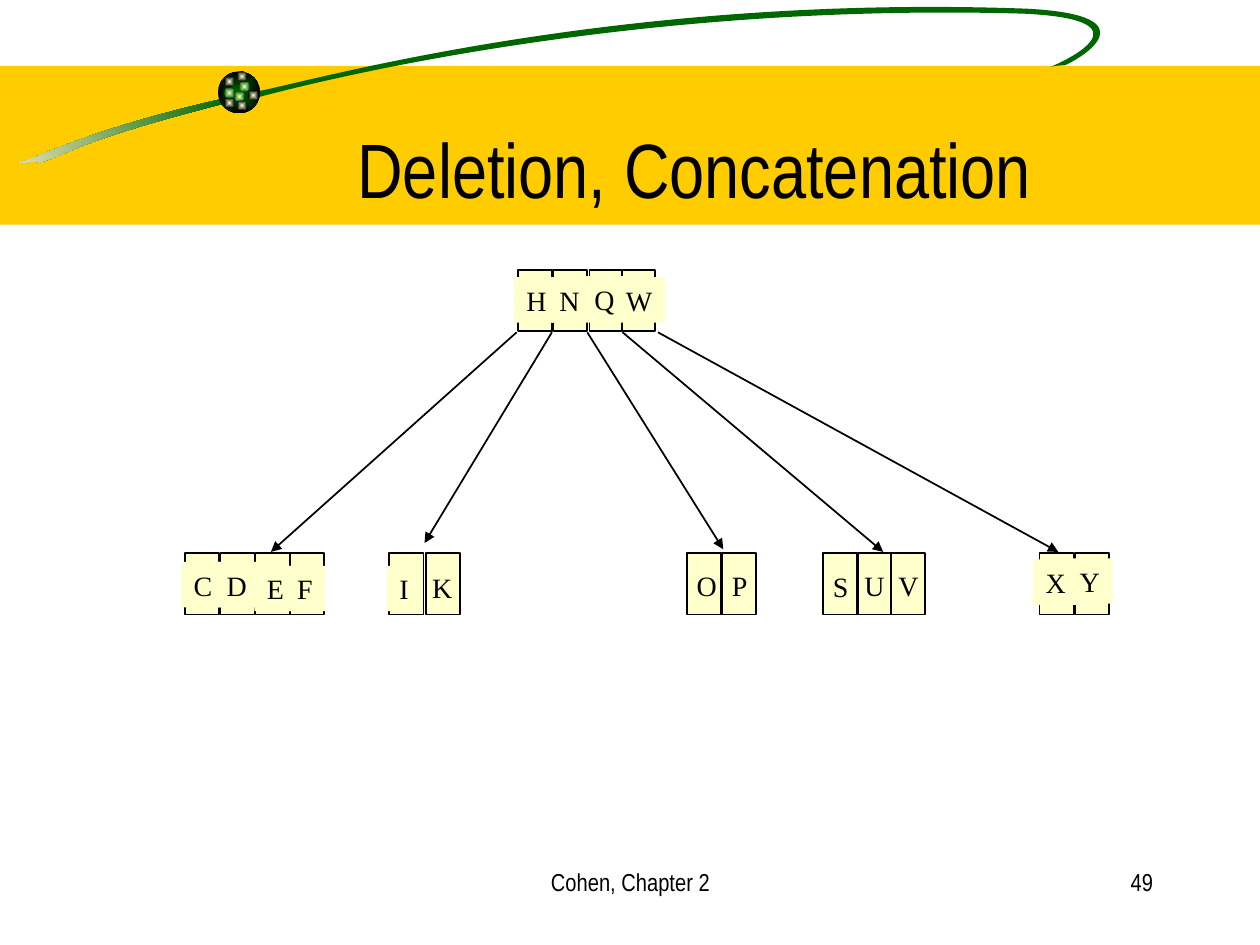
from collections import namedtuple
from dataclasses import dataclass
from math import cos, radians, sin

from lxml.etree import SubElement
from pptx import Presentation
from pptx.dml.color import RGBColor
from pptx.enum.shapes import MSO_CONNECTOR, MSO_SHAPE
from pptx.enum.text import MSO_ANCHOR, MSO_AUTO_SIZE, PP_ALIGN
from pptx.oxml.ns import qn
from pptx.util import Pt

Box = namedtuple("Box", "left top width height")
Key = namedtuple("Key", "letter cell cell_width dx dy width patched", defaults=(True,))


@dataclass(frozen=True)
class Theme:
    """Colours, fonts and sizes of the slide."""

    band: str = "FFCC00"
    green: str = "006600"
    sand: str = "F5EBC1"
    cream: str = "FFFFCC"
    ink: str = "000000"
    sans: str = "Arial Narrow"
    serif: str = "Times New Roman"
    title: int = 44
    key: int = 16
    footer: int = 14


THEME = Theme()
TILT = -8.5
POINTER_PITCH = 20.2

TAIL = [(128.2, 56.2),
        (65.5, 70.6), (35.3, 83.5), (18, 90.7),
        (0.7, 96.5), (18.7, 90.7), (22.3, 92.9),
        (41, 87.8), (41, 81.4), (128.9, 59),
        (128.9, 59), (128.2, 56.2), (128.2, 56.2)]
SWOOSH = [(145.4, 52.6),
          (177.1, 46.8), (349.9, -3.6), (586.1, 5),
          (660.2, 8.6), (617, 33.8), (608.4, 37.4),
          (608.4, 37.4), (603.4, 37.4), (600.5, 38.2),
          (607.7, 35.3), (659.5, 11.5), (585.4, 7.9),
          (394.6, 2.2), (230.4, 33.8), (148.3, 55.4),
          (148.3, 55.4), (145.4, 52.6), (145.4, 52.6)]
SPARKS = [(12.2, 5.8, THEME.green), (3.6, 2.9, THEME.ink),
          (3.6, 9.4, THEME.green), (9.4, 11.5, THEME.green),
          (17.3, 10.8, THEME.ink), (10.8, 16.6, THEME.ink),
          (3.6, 15.1, THEME.ink), (10.8, 0, THEME.ink)]

ROOT = (Box(295.9, 154.1, 78.5, 35),
        [Key("H", 0, 19.5, -2.2, 4.3, 26), Key("N", 20.2, 19.5, 16.6, 4.3, 26),
         Key("Q", 41, 18.7, 36.7, 3.7, 26), Key("W", 59.8, 18.7, 54.7, 4.3, 29.5)])
LEAVES = [
    (Box(105.8, 316.1, 79.3, 35),
     [Key("C", 0, 19.5, -2.2, 5, 25), Key("D", 20.2, 19.5, 16.6, 5, 26),
      Key("E", 40.3, 19.5, 39.6, 7.2, 24), Key("F", 59.8, 19.5, 56.9, 7.2, 23)]),
    (Box(222.5, 316.1, 40.4, 35),
     [Key("I", 0, 19.5, -1.4, 7.2, 19.5), Key("K", 20.9, 19.5, 17.3, 6.5, 26, False)]),
    (Box(392.4, 316.1, 39.7, 35),
     [Key("O", 0, 19.5, -1.4, 5, 26, False), Key("P", 20.2, 19.5, 18.7, 5, 23, False)]),
    (Box(470.2, 316.1, 58.4, 35),
     [Key("S", 0, 19.5, -1.4, 5.8, 23, False), Key("U", 20.2, 18.7, 16.6, 5, 26, False),
      Key("V", 38.9, 19.5, 36, 5, 26, False)]),
    (Box(594, 316.1, 39.7, 35),
     [Key("X", 0, 19.5, -3.6, 3.6, 26), Key("Y", 20.2, 19.5, 15.8, 2.9, 26)]),
]
POINTER_TIPS = [(154.8, 315.4), (242.6, 310.3), (413.3, 313.9),
                (504.7, 315.4), (604.8, 315.4)]


def color(code):
    """Turn a hex code into a colour."""
    return RGBColor.from_string(code)


def paint(shape, fill, line=None):
    """Give a shape a solid fill, an optional outline and no shadow."""
    shape.shadow.inherit = False
    shape.fill.solid()
    shape.fill.fore_color.rgb = color(fill)
    if line:
        shape.line.color.rgb = color(line)
        shape.line.width = Pt(1)
    else:
        shape.line.fill.background()


def blend(shape, start, end, radial=True):
    """Give a shape a two-colour gradient, radial or from right to left."""
    paint(shape, start)
    shape.fill.gradient()
    for stop, code, position in zip(shape.fill.gradient_stops, (start, end), (0, 1)):
        stop.color.rgb = color(code)
        stop.position = position
    shape.fill.gradient_angle = 180
    if radial:
        gradient = shape._element.spPr.find(qn("a:gradFill"))
        gradient.remove(gradient.find(qn("a:lin")))
        focus = SubElement(gradient, qn("a:path"), {"path": "rect"})
        SubElement(focus, qn("a:fillToRect"), dict.fromkeys("ltrb", "50000"))


def add_preset(slide, kind, box):
    """Add a preset shape in a box."""
    return slide.shapes.add_shape(kind, *map(Pt, box))


def turn(x, y, degrees):
    """Rotate a point about the origin."""
    angle = radians(degrees)
    return x * cos(angle) - y * sin(angle), x * sin(angle) + y * cos(angle)


def add_curve(slide, box, knots):
    """Draw a tilted closed outline of cubic curves, offset by the box."""
    points = [tuple(map(Pt, turn(box.left + x, box.top + y, -TILT))) for x, y in knots]
    builder = slide.shapes.build_freeform(*points[0])
    builder.add_line_segments(points[1:], close=True)
    shape = builder.convert_to_shape()
    outline = next(shape._element.iter(qn("a:path")))
    lines = outline.findall(qn("a:lnTo"))
    for i in range(0, len(lines), 3):
        curve = SubElement(outline, qn("a:cubicBezTo"))
        for line in lines[i:i + 3]:
            curve.append(line[0])
            outline.remove(line)
    outline.append(outline.find(qn("a:close")))
    center = turn(shape.left + shape.width / 2, shape.top + shape.height / 2, TILT)
    shape.left = round(center[0] - shape.width / 2)
    shape.top = round(center[1] - shape.height / 2)
    shape.rotation = TILT
    return shape


def add_text(slide, box, text, font, size, align=PP_ALIGN.LEFT, **frame_format):
    """Add a text box with one formatted paragraph."""
    text_box = slide.shapes.add_textbox(*map(Pt, box))
    frame = text_box.text_frame
    for name, value in ({"word_wrap": True} | frame_format).items():
        setattr(frame, name, value)
    paragraph = frame.paragraphs[0]
    paragraph.text = text
    paragraph.alignment = align
    for name, value in {"name": font, "size": Pt(size)}.items():
        setattr(paragraph.font, name, value)
    paragraph.font.color.rgb = color(THEME.ink)
    return text_box


def add_header(slide, box):
    """Place the band, the comet with its sparks, and the title."""
    band = Box(box.left, box.top + 37.7, box.width, box.height - 37.7)
    paint(add_preset(slide, MSO_SHAPE.RECTANGLE, band), THEME.band)
    blend(add_curve(slide, box, TAIL), THEME.green, THEME.sand, radial=False)
    paint(add_curve(slide, box, SWOOSH), THEME.green)
    ball = Box(box.left + 124.6, box.top + 40.8, 24, 24)
    blend(add_preset(slide, MSO_SHAPE.OVAL, ball), THEME.green, THEME.ink)
    for dx, dy, rim in SPARKS:
        spark = Box(ball.left + dx, ball.top + dy, 5.8, 5.8)
        blend(add_preset(slide, MSO_SHAPE.OVAL, spark), THEME.cream, rim)
    title = Box(box.left + 91, box.top + 36, 612, 90)
    add_text(slide, title, "Deletion, Concatenation", THEME.sans, THEME.title,
             PP_ALIGN.CENTER, vertical_anchor=MSO_ANCHOR.BOTTOM)


def add_node(slide, box, keys):
    """Place a tree node: a row of cells with a key on each."""
    for key in keys:
        cell = Box(box.left + key.cell, box.top, key.cell_width, box.height)
        paint(add_preset(slide, MSO_SHAPE.RECTANGLE, cell), THEME.cream, THEME.ink)
    for key in keys:
        spot = Box(box.left + key.dx, box.top + key.dy, key.width, 26)
        label = add_text(slide, spot, key.letter, THEME.serif, THEME.key,
                         word_wrap=False, auto_size=MSO_AUTO_SIZE.SHAPE_TO_FIT_TEXT)
        if key.patched:
            label.fill.solid()
            label.fill.fore_color.rgb = color(THEME.cream)


def add_pointers(slide, box):
    """Draw the arrows from the gaps of the root node to its children."""
    for i, tip in enumerate(POINTER_TIPS):
        ends = (box.left - 0.7 + i * POINTER_PITCH, box.top + box.height + 0.8, *tip)
        pointer = slide.shapes.add_connector(MSO_CONNECTOR.STRAIGHT, *map(Pt, ends))
        pointer.line.color.rgb = color(THEME.ink)
        pointer.line.width = Pt(1)
        SubElement(pointer.line._get_or_add_ln(), qn("a:tailEnd"), {"type": "triangle"})
        SubElement(pointer._element.spPr, qn("a:effectLst"))


def add_footer(slide, box):
    """Place the source in the middle and the page number at the right."""
    source = Box(box.left + 246.2, box.top, 228.2, box.height)
    page = Box(box.left + 516.2, box.top, 149.8, box.height)
    add_text(slide, source, "Cohen, Chapter 2", THEME.sans, THEME.footer, PP_ALIGN.CENTER)
    add_text(slide, page, "49", THEME.sans, THEME.footer, PP_ALIGN.RIGHT)


def main():
    """Build and save the slide."""
    deck = Presentation()
    deck.slide_width, deck.slide_height = Pt(720), Pt(540)
    slide = deck.slides.add_slide(deck.slide_layouts[6])
    add_header(slide, Box(0, 0, 720, 128.4))
    add_pointers(slide, ROOT[0])
    for box, keys in [ROOT, *LEAVES]:
        add_node(slide, box, keys)
    add_footer(slide, Box(0, 491.8, 720, 36))
    deck.save("out.pptx")


if __name__ == "__main__":
    main()
